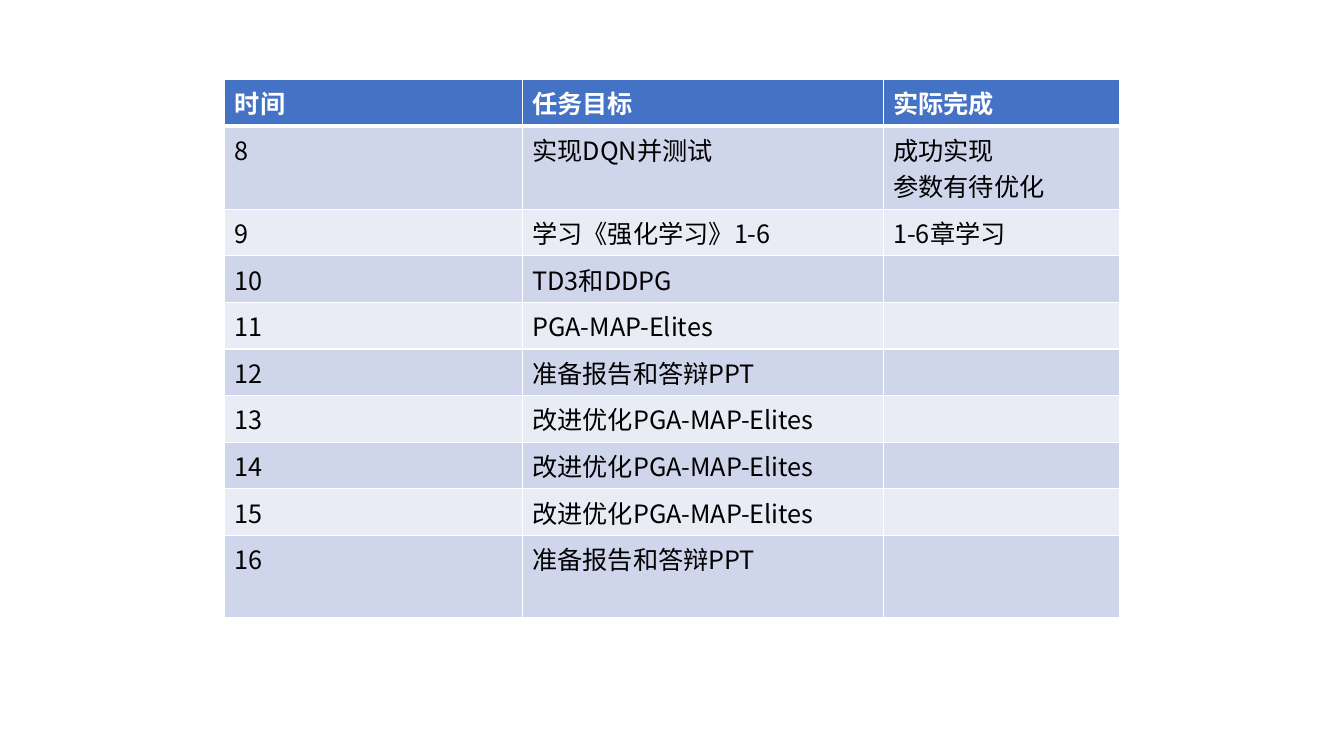
from dataclasses import dataclass

from lxml import etree
from pptx import Presentation
from pptx.dml.color import RGBColor as RGB
from pptx.oxml.ns import qn
from pptx.util import Inches, Pt

# Content
HEADINGS = ["时间", "任务目标", "实际完成"]
SCHEDULE = [
    ("8", "实现DQN并测试", "成功实现\n参数有待优化"),
    ("9", "学习《强化学习》1-6", "1-6章学习"),
    ("10", "TD3和DDPG", ""),
    ("11", "PGA-MAP-Elites", ""),
    ("12", "准备报告和答辩PPT", ""),
    ("13", "改进优化PGA-MAP-Elites", ""),
    ("14", "改进优化PGA-MAP-Elites", ""),
    ("15", "改进优化PGA-MAP-Elites", ""),
    ("16", "准备报告和答辩PPT", ""),
]
LEFT, TOP = 2.23, 0.79
COLUMN_WIDTHS = [2.95, 3.58, 2.34]
HEADER_HEIGHT, WEEK_HEIGHT, TALL_HEIGHT = 0.46, 0.46, 0.82


@dataclass(frozen=True)
class Theme:
    font: str = "Noto Sans CJK SC"
    size: int = 18
    header: str = "4472C4"
    bands: tuple = ("CFD5EA", "E9EBF5")
    header_text: str = "FFFFFF"
    text: str = "000000"
    border: str = "FFFFFF"
    thin: int = 1
    thick: int = 3


THEME = Theme()


def write(frame, text, *, color=THEME.text, bold=False, size=THEME.size):
    """Fill a text frame, one paragraph per line."""
    for index, line in enumerate(text.split("\n")):
        paragraph = frame.paragraphs[0] if index == 0 else frame.add_paragraph()
        paragraph.font.size = Pt(size)
        if not line:
            continue
        run = paragraph.add_run()
        run.text = line
        font = run.font
        font.name, font.size, font.bold = THEME.font, Pt(size), bold
        font.color.rgb = RGB.from_string(color)
        latin = run._r.rPr.find(qn("a:latin"))
        east_asian = etree.Element(qn("a:ea"), typeface=THEME.font)
        latin.addnext(east_asian)


def set_borders(cell, *, top, bottom):
    """Draw the four cell edges; they stand before the fill."""
    widths = {"lnL": THEME.thin, "lnR": THEME.thin, "lnT": top, "lnB": bottom}
    properties = cell._tc.get_or_add_tcPr()
    for place, (edge, width) in enumerate(widths.items()):
        line = etree.Element(qn(f"a:{edge}"), w=str(Pt(width)))
        solid = etree.SubElement(line, qn("a:solidFill"))
        etree.SubElement(solid, qn("a:srgbClr"), val=THEME.border)
        properties.insert(place, line)


def main():
    prs = Presentation()
    prs.slide_width, prs.slide_height = Inches(13.33), Inches(7.5)
    slide = prs.slides.add_slide(prs.slide_layouts[6])

    # Table grid: the first and last weeks are taller
    rows = [HEADINGS, *SCHEDULE]
    middle_weeks = [WEEK_HEIGHT] * (len(SCHEDULE) - 2)
    heights = [HEADER_HEIGHT, TALL_HEIGHT, *middle_weeks, TALL_HEIGHT]
    plan = slide.shapes.add_table(
        len(rows), len(HEADINGS), Inches(LEFT), Inches(TOP),
        Inches(sum(COLUMN_WIDTHS)), Inches(sum(heights))).table
    for column, width in zip(plan.columns, COLUMN_WIDTHS):
        column.width = Inches(width)
    for row, height in zip(plan.rows, heights):
        row.height = Inches(height)

    # Cells: header, then alternating bands
    for week, entries in enumerate(rows):
        is_header = week == 0
        fill = THEME.header if is_header else THEME.bands[(week - 1) % 2]
        for column, entry in enumerate(entries):
            cell = plan.cell(week, column)
            cell.fill.solid()
            cell.fill.fore_color.rgb = RGB.from_string(fill)
            set_borders(cell,
                        top=THEME.thick if week == 1 else THEME.thin,
                        bottom=THEME.thick if is_header else THEME.thin)
            write(cell.text_frame, entry, bold=is_header,
                  color=THEME.header_text if is_header else THEME.text)

    prs.save("out.pptx")


if __name__ == "__main__":
    main()
